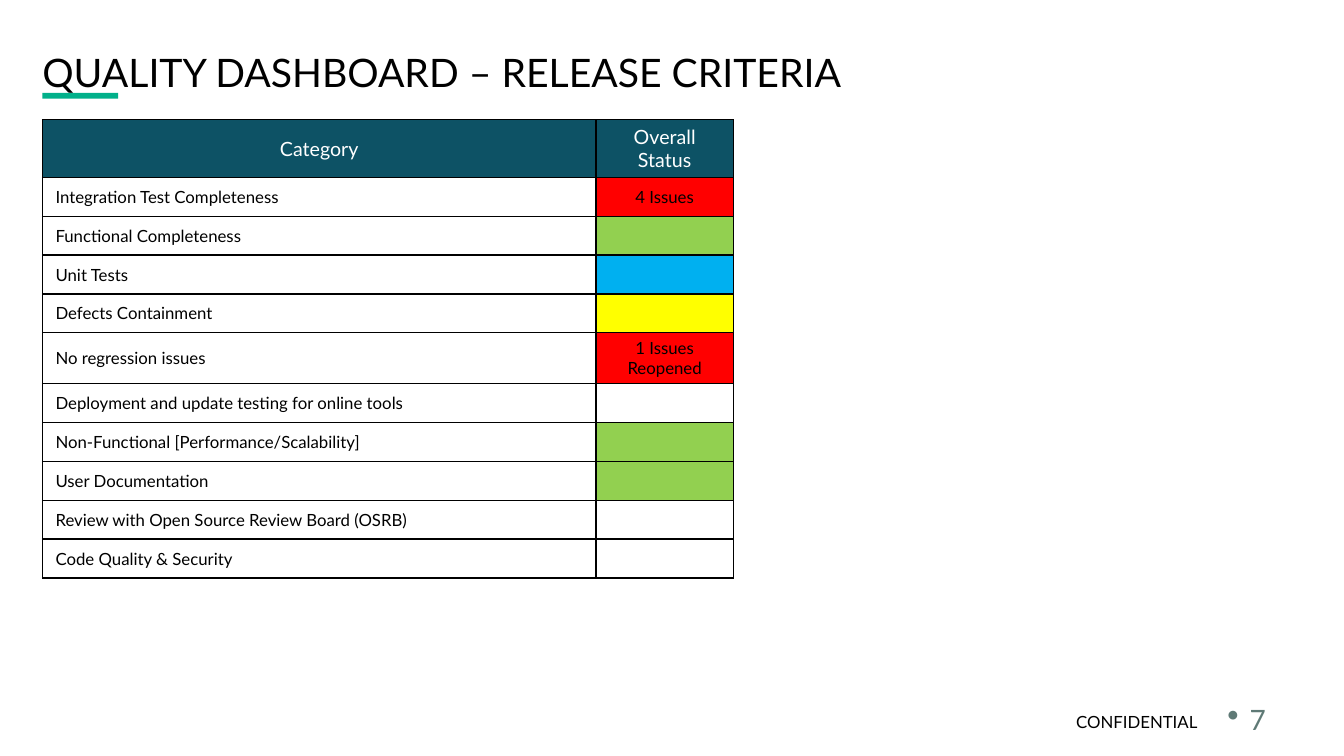
from lxml import etree
from pptx import Presentation
from pptx.dml.color import RGBColor
from pptx.enum.shapes import MSO_SHAPE
from pptx.enum.text import MSO_ANCHOR, PP_ALIGN
from pptx.oxml.ns import qn
from pptx.util import Cm, Pt

RECT = MSO_SHAPE.RECTANGLE
TOP, MIDDLE = MSO_ANCHOR.TOP, MSO_ANCHOR.MIDDLE
LEFT, CENTER, RIGHT = PP_ALIGN.LEFT, PP_ALIGN.CENTER, PP_ALIGN.RIGHT

BLACK = RGBColor(0x00, 0x00, 0x00)
WHITE = RGBColor(0xFF, 0xFF, 0xFF)
TEAL = RGBColor(0x01, 0xB0, 0x8A)
NAVY = RGBColor(0x0D, 0x52, 0x65)
GRAY = RGBColor(0x5F, 0x7A, 0x76)
RED = RGBColor(0xFF, 0x00, 0x00)
GREEN = RGBColor(0x92, 0xD0, 0x50)
BLUE = RGBColor(0x00, 0xB0, 0xF0)
YELLOW = RGBColor(0xFF, 0xFF, 0x00)

STATUS = [
    ("Integration Test Completeness", "4 Issues", RED),
    ("Functional Completeness", "", GREEN),
    ("Unit Tests", "", BLUE),
    ("Defects Containment", "", YELLOW),
    ("No regression issues", "1 Issues Reopened", RED),
    ("Deployment and update testing for online tools", "", None),
    ("Non-Functional [Performance/Scalability]", "", GREEN),
    ("User Documentation", "", GREEN),
    ("Review with Open Source Review Board (OSRB)", "", None),
    ("Code Quality & Security", "", None),
]


class Deck:
    """Hold the font and the current slide, and add elements to it."""

    def __init__(self, font):
        self.font = font
        self.file = Presentation()
        self.file.slide_width, self.file.slide_height = Cm(33.87), Cm(19.05)
        self.slide = self.file.slides.add_slide(self.file.slide_layouts[6])

    def style(self, para, size, color, align):
        para.alignment = align
        for run in para.runs:
            run.font.name = self.font
            run.font.size = Pt(size)
            run.font.color.rgb = color

    def bar(self, x, y, w, h, color):
        shape = self.slide.shapes.add_shape(RECT, Cm(x), Cm(y), Cm(w), Cm(h))
        shape.shadow.inherit = False
        shape.fill.solid()
        shape.fill.fore_color.rgb = color
        shape.line.fill.background()

    def text(self, x, y, w, h, words, size, color=BLACK, align=LEFT, anchor=TOP, inset=True):
        box = self.slide.shapes.add_textbox(Cm(x), Cm(y), Cm(w), Cm(h))
        frame = box.text_frame
        frame.word_wrap = True
        frame.vertical_anchor = anchor
        if not inset:
            frame.margin_left = frame.margin_right = 0
            frame.margin_top = frame.margin_bottom = 0
        frame.text = words
        para = frame.paragraphs[0]
        para.line_spacing = 0.9
        self.style(para, size, color, align)
        return para

    def bullet(self, para, char, scale, indent):
        props = para._p.get_or_add_pPr()
        props.set("marL", str(Cm(indent)))
        props.set("indent", str(-Cm(indent)))
        etree.SubElement(props, qn("a:buSzPct"), val=str(scale * 1000))
        etree.SubElement(props, qn("a:buChar"), char=char)

    def border(self, cell, color):
        props = cell._tc.get_or_add_tcPr()
        for side in ("lnL", "lnR", "lnT", "lnB"):
            line = etree.SubElement(props, qn("a:" + side), w=str(Pt(1)))
            fill = etree.SubElement(line, qn("a:solidFill"))
            etree.SubElement(fill, qn("a:srgbClr"), val=str(color))

    def cell(self, cell, words, size, color, align, fill):
        self.border(cell, BLACK)
        cell.margin_left = cell.margin_right = Cm(0.33)
        cell.margin_top = cell.margin_bottom = Cm(0.13)
        cell.vertical_anchor = MIDDLE
        cell.text_frame.text = words
        para = cell.text_frame.paragraphs[0]
        self.style(para, size, color, align)
        if not words:
            etree.SubElement(para._p, qn("a:endParaRPr"), sz=str(size * 100))
        if fill is None:
            cell.fill.background()
        else:
            cell.fill.solid()
            cell.fill.fore_color.rgb = fill

    def table(self, x, y, widths, head, high, heads, rows):
        total = head + high * len(rows)
        grid = self.slide.shapes.add_table(
            len(rows) + 1, len(widths), Cm(x), Cm(y), Cm(sum(widths)), Cm(total)
        ).table
        for col, width in zip(grid.columns, widths):
            col.width = Cm(width)
        for row in grid.rows:
            row.height = Cm(high)
        grid.rows[0].height = Cm(head)
        for col, words in enumerate(heads):
            self.cell(grid.cell(0, col), words, 14, WHITE, CENTER, NAVY)
        for row, (name, note, fill) in enumerate(rows, 1):
            self.cell(grid.cell(row, 0), name, 12, BLACK, LEFT, None)
            self.cell(grid.cell(row, 1), note, 12, BLACK, CENTER, fill)


def main():
    deck = Deck("Lato")
    deck.bar(1.07, 2.34, 1.91, 0.15, TEAL)
    deck.text(1.07, 1.35, 30.45, 0.86, "QUALITY DASHBOARD – RELEASE CRITERIA", 28, inset=False)
    deck.text(20.78, 17.86, 9.65, 0.58, "CONFIDENTIAL", 12, align=RIGHT)
    page = deck.text(30.68, 17.86, 1.47, 0.64, "7", 20, GRAY, anchor=MIDDLE)
    deck.bullet(page, "•", 120, 0.56)
    deck.table(1.07, 3.02, (13.95, 3.46), 1.12, 0.98, ("Category", "Overall Status"), STATUS)
    deck.file.save("out.pptx")


if __name__ == "__main__":
    main()
